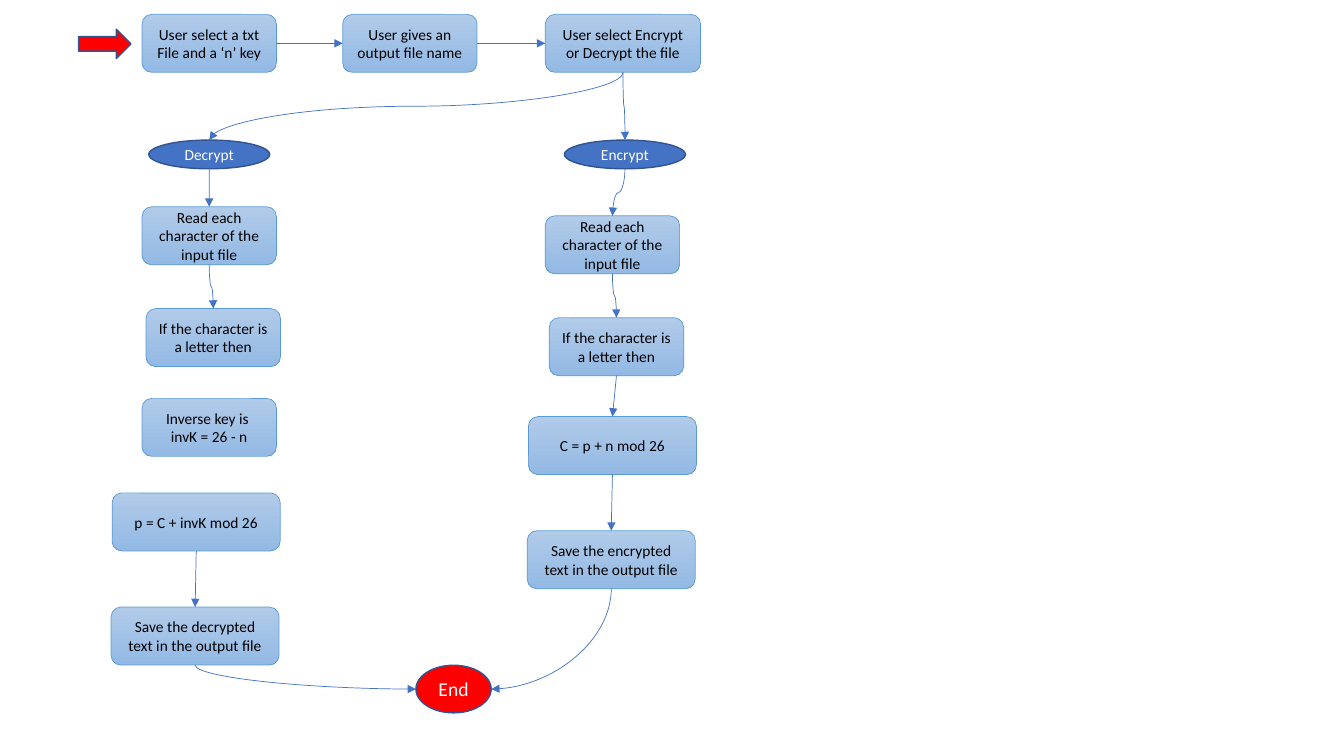
from lxml import etree
from pptx import Presentation, util as u
from pptx.dml.color import RGBColor
from pptx.enum import shapes, text
from pptx.oxml.ns import qn

SKY_TOP = RGBColor(0xB1, 0xCB, 0xE9)
SKY_BOTTOM = RGBColor(0x93, 0xB9, 0xE4)
SKY_EDGE = RGBColor(0x5B, 0x9B, 0xD5)
BLUE = RGBColor(0x44, 0x72, 0xC4)
NAVY = RGBColor(0x32, 0x54, 0x91)
RED = RGBColor(0xFF, 0x00, 0x00)
BLACK = RGBColor(0x00, 0x00, 0x00)
WHITE = RGBColor(0xFF, 0xFF, 0xFF)

COLUMNS = ROWS = 100
STEP_WIDTH, WIDE_STEP, STEP_HEIGHT = 10, 12.5, 7.67
CHOICE_WIDTH, CHOICE_HEIGHT = 9, 3.8
TOP_ROW = 1.9
CHOICE_ROW = 18.53


def write(box, words, size=11, color=BLACK, font="Calibri"):
    frame = box.text_frame
    frame.word_wrap = True
    frame.vertical_anchor = text.MSO_ANCHOR.MIDDLE
    for number, line in enumerate(words.split("\n")):
        para = frame.add_paragraph() if number else frame.paragraphs[0]
        para.alignment = text.PP_ALIGN.CENTER
        span = para.add_run()
        span.text = line
        span.font.size = u.Pt(size)
        span.font.name = font
        span.font.color.rgb = color


def top(box):
    return box.left + box.width // 2, box.top


def bottom(box):
    return box.left + box.width // 2, box.top + box.height


def left(box):
    return box.left, box.top + box.height // 2


def right(box):
    return box.left + box.width, box.top + box.height // 2


class Flowchart:
    def __init__(self, deck):
        self.page = deck.slides.add_slide(deck.slide_layouts[6])
        self.column = deck.slide_width / COLUMNS
        self.row = deck.slide_height / ROWS

    def shape(self, kind, center, row, width, height, edge, weight):
        box = self.page.shapes.add_shape(
            kind,
            round((center - width / 2) * self.column),
            round(row * self.row),
            round(width * self.column),
            round(height * self.row),
        )
        box.shadow.inherit = False
        box.line.color.rgb = edge
        box.line.width = u.Pt(weight)
        return box

    def step(self, words, center, row, width=STEP_WIDTH):
        box = self.shape(shapes.MSO_SHAPE.ROUNDED_RECTANGLE, center, row,
                         width, STEP_HEIGHT, SKY_EDGE, 0.5)
        box.fill.gradient()
        box.fill.gradient_angle = 270
        for stop, color in zip(box.fill.gradient_stops, (SKY_TOP, SKY_BOTTOM)):
            stop.color.rgb = color
        write(box, words)
        return box

    def solid(self, kind, center, row, width, height, color):
        box = self.shape(kind, center, row, width, height, NAVY, 1)
        box.fill.solid()
        box.fill.fore_color.rgb = color
        return box

    def oval(self, words, center, row, width=CHOICE_WIDTH, height=CHOICE_HEIGHT,
             color=BLUE, size=11):
        box = self.solid(shapes.MSO_SHAPE.OVAL, center, row, width, height, color)
        write(box, words, size=size, color=WHITE)
        return box

    def arrow(self, start, end, kind=shapes.MSO_CONNECTOR.STRAIGHT):
        link = self.page.shapes.add_connector(kind, *start, *end)
        link.line.color.rgb = BLUE
        link.line.width = u.Pt(0.5)
        etree.SubElement(link.line._get_or_add_ln(), qn("a:tailEnd"), type="triangle")
        etree.SubElement(link.element.spPr, qn("a:effectLst"))
        return link

    def curve(self, start, end, preset="curvedConnector3"):
        link = self.arrow(start, end, shapes.MSO_CONNECTOR.CURVE)
        across, down = end[0] - start[0], end[1] - start[1]
        link.width, link.height = down, abs(across)
        link.left = (start[0] + end[0] - down) // 2
        link.top = (start[1] + end[1] - abs(across)) // 2
        frame = link.element.spPr.find(qn("a:xfrm"))
        frame.attrib.pop("flipH", None)
        frame.set("rot", str((90 if across < 0 else 270) * 60000))
        if across >= 0:
            frame.set("flipH", "1")
        link.element.spPr.find(qn("a:prstGeom")).set("prst", preset)


deck = Presentation()
deck.slide_width, deck.slide_height = u.Inches(13.33), u.Inches(7.5)
chart = Flowchart(deck)

chart.solid(shapes.MSO_SHAPE.RIGHT_ARROW, 7.8, 3.87, 3.9, 3.87, RED)
pick_file = chart.step("User select a txt File and a ‘n’ key", 15.57, TOP_ROW)
name_output = chart.step("User gives an output file name", 30.5, TOP_ROW)
pick_mode = chart.step("User select Encrypt or Decrypt the file", 46.35, TOP_ROW, 11.55)
decrypt = chart.oval("Decrypt", 15.57, CHOICE_ROW)
encrypt = chart.oval("Encrypt", 46.5, CHOICE_ROW)

READ = "Read each character of the input file"
TEST = "If the character is a letter then"
(read_cipher, test_cipher), (read_plain, test_plain) = [
    (chart.step(READ, center, row), chart.step(TEST, center + 0.3, row + 13.47))
    for center, row in ((15.57, 27.35), (45.57, 28.55))
]

chart.step("Inverse key is \ninvK = 26 - n", 15.57, 52.7)
unshift = chart.step("p = C + invK mod 26", 14.6, 65.2, WIDE_STEP)
save_plain = chart.step("Save the decrypted text in the output file", 14.52, 80.3, WIDE_STEP)
shift = chart.step("C = p + n mod 26", 45.57, 55.1, WIDE_STEP)
save_cipher = chart.step("Save the encrypted text in the output file", 45.48, 70.2, WIDE_STEP)
finish = chart.oval("End", 33.75, 88, 5.6, 6.3, RED, 14)

for source, target in ((pick_file, name_output), (name_output, pick_mode)):
    chart.arrow(right(source), left(target))
for source, target in ((test_plain, shift), (shift, save_cipher), (unshift, save_plain)):
    chart.arrow(bottom(source), top(target))
for source, target in ((pick_mode, decrypt), (pick_mode, encrypt),
                       (decrypt, read_cipher), (encrypt, read_plain),
                       (read_cipher, test_cipher), (read_plain, test_plain)):
    chart.curve(bottom(source), top(target))
for source, side in ((save_plain, left), (save_cipher, right)):
    chart.curve(bottom(source), side(finish), "curvedConnector2")

deck.save("out.pptx")
